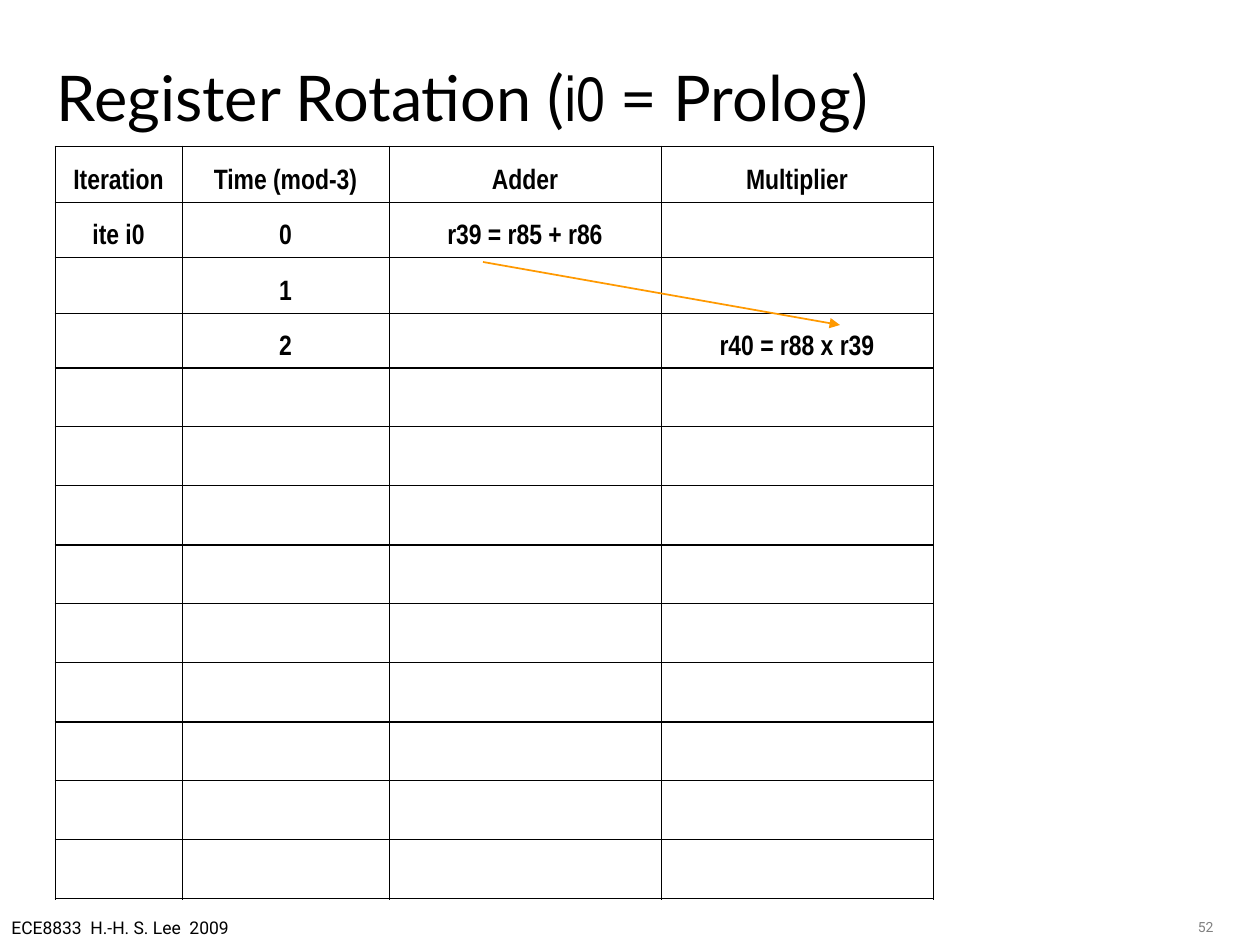
from dataclasses import dataclass

from lxml.etree import SubElement
from pptx import Presentation
from pptx.dml.color import RGBColor
from pptx.enum.shapes import MSO_CONNECTOR
from pptx.enum.text import MSO_ANCHOR, MSO_AUTO_SIZE, PP_ALIGN
from pptx.oxml.ns import qn
from pptx.util import Emu, Pt


@dataclass(frozen=True)
class Theme:
    """Colours, fonts and type sizes of the slide."""
    ink: str = "000000"
    muted: str = "808080"
    accent: str = "FF9900"
    title_font: str = "Lato"
    table_font: str = "Arial Narrow"
    footer_font: str = "Roboto"
    title_size: int = 36
    table_size: int = 16
    footer_size: int = 10
    number_size: int = 8
    thin: float = 0.45
    thick: float = 1.08


THEME = Theme()
COLUMNS = (127, 207, 272, 272)
ROWS = (56, 55, 56, 55) + (59,) * 9
SCHEDULE = (
    ("Iteration", "Time (mod-3)", "Adder", "Multiplier"),
    ("ite i0", "0", "r39 = r85 + r86", ""),
    ("", "1", "", ""),
    ("", "2", "", "r40 = r88 x r39"),
)


def px(length):
    """Turn px into EMU at 126 px to the inch."""
    return Emu(round(length * 914400 / 126))


def add_span(para, text, font, size, color, bold=False):
    """Add one formatted run to a paragraph."""
    span = para.add_run()
    span.text = text
    span.font.name = font
    span.font.size = Pt(size)
    span.font.bold = bold
    span.font.color.rgb = RGBColor.from_string(color)


def add_title(page, box):
    """Fill and place the title placeholder."""
    title = page.shapes.title
    title.left, title.top, title.width, title.height = map(px, box)
    frame = title.text_frame
    frame.auto_size = MSO_AUTO_SIZE.NONE
    frame.vertical_anchor = MSO_ANCHOR.MIDDLE
    para = frame.paragraphs[0]
    para.alignment = PP_ALIGN.LEFT
    for text, font in (("Register Rotation (", THEME.title_font),
                       ("i0", THEME.table_font),
                       (" = Prolog)", THEME.title_font)):
        add_span(para, text, font, THEME.title_size, THEME.ink)


def add_label(page, box, text, size, color, alignment, wrap):
    """Add a one-line label at the foot of the page."""
    frame = page.shapes.add_textbox(*map(px, box)).text_frame
    frame.word_wrap = wrap
    para = frame.paragraphs[0]
    para.alignment = alignment
    add_span(para, text, THEME.footer_font, size, color)


def set_borders(cell, top, bottom):
    """Draw the four sides of a table cell."""
    properties = cell._tc.get_or_add_tcPr()
    for side, width in (("L", THEME.thin), ("R", THEME.thin),
                        ("T", top), ("B", bottom)):
        line = SubElement(properties, qn(f"a:ln{side}"), w=str(Pt(width)))
        fill = SubElement(line, qn("a:solidFill"))
        SubElement(fill, qn("a:srgbClr"), val=THEME.ink)


def add_schedule(page, left, top):
    """Add the schedule grid, ruled off after every three cycles."""
    frame = page.shapes.add_table(len(ROWS), len(COLUMNS), px(left), px(top),
                                  px(sum(COLUMNS)), px(sum(ROWS)))
    table = frame.table
    table.first_row = table.horz_banding = False
    for column, width in zip(table.columns, COLUMNS):
        column.width = px(width)
    for index, (row, height) in enumerate(zip(table.rows, ROWS)):
        row.height = px(height)
        texts = SCHEDULE[index] if index < len(SCHEDULE) else ("",) * len(COLUMNS)
        above = THEME.thick if index > 1 and index % 3 == 1 else THEME.thin
        below = THEME.thick if index and index % 3 == 0 else THEME.thin
        for cell, text in zip(row.cells, texts):
            set_borders(cell, above, below)
            cell.fill.background()
            cell.vertical_anchor = MSO_ANCHOR.BOTTOM
            para = cell.text_frame.paragraphs[0]
            para.alignment = PP_ALIGN.CENTER
            if text:
                add_span(para, text, THEME.table_font, THEME.table_size,
                         THEME.ink, bold=True)


def add_arrow(page, start, end):
    """Add the dependence arrow between two operations."""
    arrow = page.shapes.add_connector(MSO_CONNECTOR.STRAIGHT,
                                      *map(px, start + end))
    arrow.line.width = Pt(1)
    arrow.line.color.rgb = RGBColor.from_string(THEME.accent)
    SubElement(arrow.line._get_or_add_ln(), qn("a:tailEnd"), type="triangle")
    SubElement(arrow._element.spPr, qn("a:effectLst"))


def main():
    """Build the slide and save the deck."""
    deck = Presentation()
    deck.slide_width, deck.slide_height = px(1260), px(945)
    page = deck.slides.add_slide(deck.slide_layouts[5])
    add_label(page, (-3, 911, 246, 34), "ECE8833  H.-H. S. Lee  2009",
              THEME.footer_size, THEME.ink, PP_ALIGN.CENTER, False)
    add_title(page, (44, 44, 1134, 105))
    add_schedule(page, 55, 146)
    add_arrow(page, (483, 262), (840, 325))
    add_label(page, (1143, 912, 83, 21), "52",
              THEME.number_size, THEME.muted, PP_ALIGN.RIGHT, True)
    deck.save("out.pptx")


if __name__ == "__main__":
    main()
